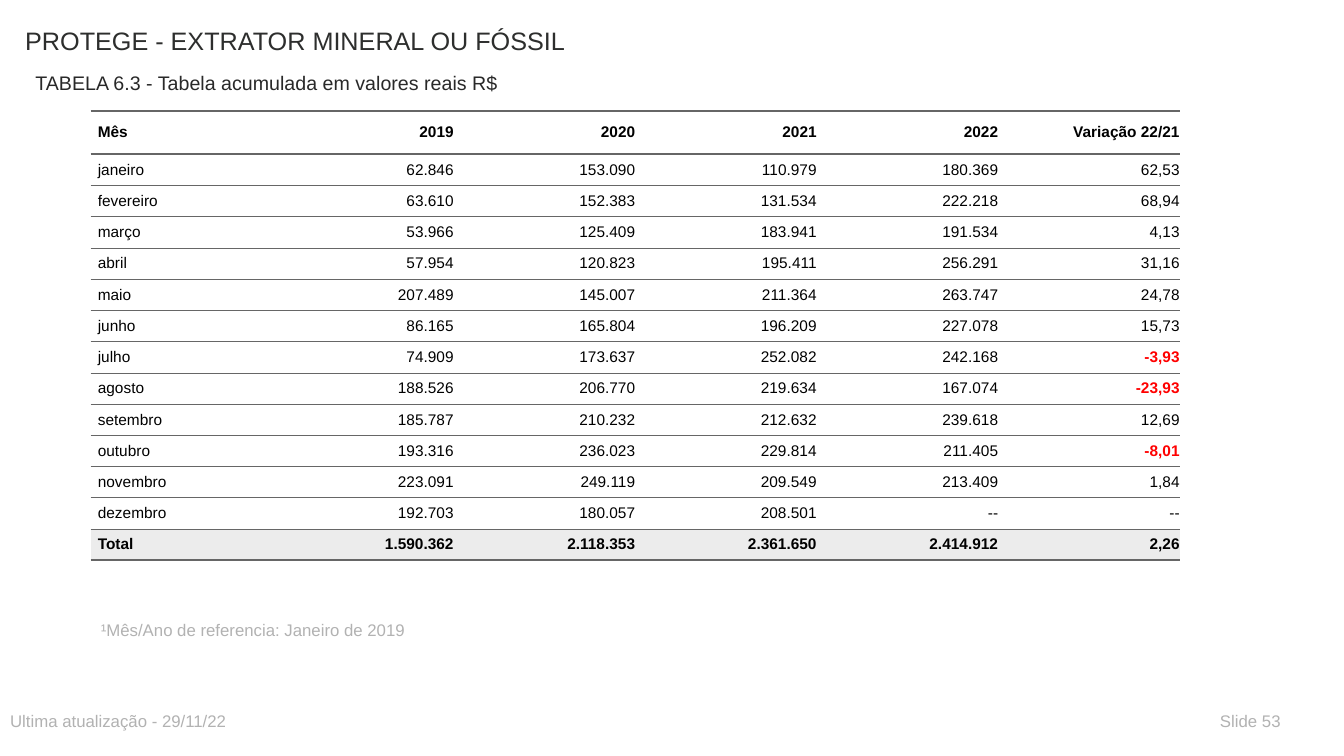
from lxml.etree import SubElement
from pptx import Presentation
from pptx.dml.color import RGBColor
from pptx.enum.text import MSO_ANCHOR as Anchor, MSO_AUTO_SIZE as AutoSize, PP_ALIGN as Align
from pptx.oxml import parse_xml
from pptx.oxml.ns import nsdecls, qn
from pptx.util import Pt

EMU_PER_PX = 9144
COMPARISON_LAYOUT = 4
RULE_COLOR = "666666"
MUTED_COLOR = "B2B2B2"
HEADINGS = ["Mês", "2019", "2020", "2021", "2022", "Variação 22/21"]
MONTHS = [
    ["janeiro", "62.846", "153.090", "110.979", "180.369", "62,53"],
    ["fevereiro", "63.610", "152.383", "131.534", "222.218", "68,94"],
    ["março", "53.966", "125.409", "183.941", "191.534", "4,13"],
    ["abril", "57.954", "120.823", "195.411", "256.291", "31,16"],
    ["maio", "207.489", "145.007", "211.364", "263.747", "24,78"],
    ["junho", "86.165", "165.804", "196.209", "227.078", "15,73"],
    ["julho", "74.909", "173.637", "252.082", "242.168", "-3,93"],
    ["agosto", "188.526", "206.770", "219.634", "167.074", "-23,93"],
    ["setembro", "185.787", "210.232", "212.632", "239.618", "12,69"],
    ["outubro", "193.316", "236.023", "229.814", "211.405", "-8,01"],
    ["novembro", "223.091", "249.119", "209.549", "213.409", "1,84"],
    ["dezembro", "192.703", "180.057", "208.501", "--", "--"],
]
TOTAL = ["Total", "1.590.362", "2.118.353", "2.361.650", "2.414.912", "2,26"]


def px(length):
    """Turn pixels into EMU."""
    return length * EMU_PER_PX


def rgb(value):
    """Turn a hex string into a colour."""
    return RGBColor.from_string(value)


def write_text(frame, text, *, size, color, bold=False, align=Align.LEFT, indent=0):
    """Write one formatted paragraph without a bullet into a text frame."""
    paragraph = frame.paragraphs[0]
    properties = paragraph._p.get_or_add_pPr()
    properties.set("marL", str(px(indent)))
    properties.set("indent", "0")
    SubElement(properties, qn("a:buNone"))
    paragraph.alignment = align
    paragraph.space_before = Pt(0)
    run = paragraph.add_run()
    run.text = text
    run.font.name = "Arial"
    run.font.size = Pt(size)
    run.font.bold = bold
    run.font.color.rgb = rgb(color)


def place_text(placeholder, text, left, top, width, height, **text_format):
    """Move a placeholder and fill it with one line of text."""
    placeholder.left, placeholder.top = px(left), px(top)
    placeholder.width, placeholder.height = px(width), px(height)
    frame = placeholder.text_frame
    frame.word_wrap = True
    frame.auto_size = AutoSize.NONE
    frame.vertical_anchor = Anchor.TOP
    write_text(frame, text, **text_format)


def set_borders(cell, top, bottom):
    """Draw the rules above and below a cell, with none at its sides."""
    properties = cell._tc.get_or_add_tcPr()
    widths = {"lnL": 0, "lnR": 0, "lnT": top, "lnB": bottom}
    for position, (tag, width) in enumerate(widths.items()):
        paint = f'<a:solidFill><a:srgbClr val="{RULE_COLOR}"/></a:solidFill>' if width else "<a:noFill/>"
        line = parse_xml(f'<a:{tag} {nsdecls("a")} w="{int(Pt(width))}">{paint}</a:{tag}>')
        properties.insert(position, line)


def fill_cell(cell, text, *, fill, top, bottom, **text_format):
    """Fill, rule and write one table cell."""
    cell.fill.solid()
    cell.fill.fore_color.rgb = rgb(fill)
    cell.margin_left = cell.margin_right = 0
    cell.margin_top = cell.margin_bottom = px(7)
    cell.vertical_anchor = Anchor.MIDDLE
    set_borders(cell, top, bottom)
    write_text(cell.text_frame, text, size=11, indent=7, **text_format)


def add_value_table(slide, left, top, column_width, header_height, row_height):
    """Add the table of monthly values with its heading and total."""
    rows = [HEADINGS, *MONTHS, TOTAL]
    last = len(rows) - 1
    height = header_height + last * row_height
    frame = slide.shapes.add_table(
        len(rows), len(HEADINGS), px(left), px(top), px(column_width * len(HEADINGS)), px(height))
    table = frame.table
    table.first_row = table.horz_banding = False
    for column in table.columns:
        column.width = px(column_width)
    for row_index, values in enumerate(rows):
        table.rows[row_index].height = px(row_height if row_index else header_height)
        for column_index, text in enumerate(values):
            negative = text.startswith("-") and text != "--"
            fill_cell(
                table.cell(row_index, column_index), text,
                fill="ECECEC" if row_index == last else "FFFFFF",
                top=2 if row_index < 2 else 0.5,
                bottom=2 if row_index in (0, last) else 0.5,
                color="FF0000" if negative else "000000",
                bold=negative or row_index in (0, last),
                align=Align.RIGHT if column_index else Align.LEFT)


def main():
    """Build and save the slide."""
    presentation = Presentation()
    presentation.slide_width, presentation.slide_height = px(1333), px(750)
    slide = presentation.slides.add_slide(presentation.slide_layouts[COMPARISON_LAYOUT])
    title, subtitle, note, updated, number = slide.placeholders
    place_text(title, "PROTEGE - EXTRATOR MINERAL OU FÓSSIL", 15, 20, 800, 59, size=18, color="2D2E2D")
    place_text(subtitle, "TABELA 6.3 - Tabela acumulada em valores reais R$", 25, 65, 650, 30,
               size=14, color="292929")
    place_text(note, "¹Mês/Ano de referencia: Janeiro de 2019", 90, 610, 650, 30, size=12, color=MUTED_COLOR)
    add_value_table(slide, left=90, top=110, column_width=180, header_height=43, row_height=25)
    place_text(updated, "Ultima atualização - 29/11/22", 0, 700, 650, 30, size=12, color=MUTED_COLOR)
    place_text(number, "Slide 53", 1200, 700, 90, 30, size=12, color=MUTED_COLOR)
    presentation.save("out.pptx")


if __name__ == "__main__":
    main()
